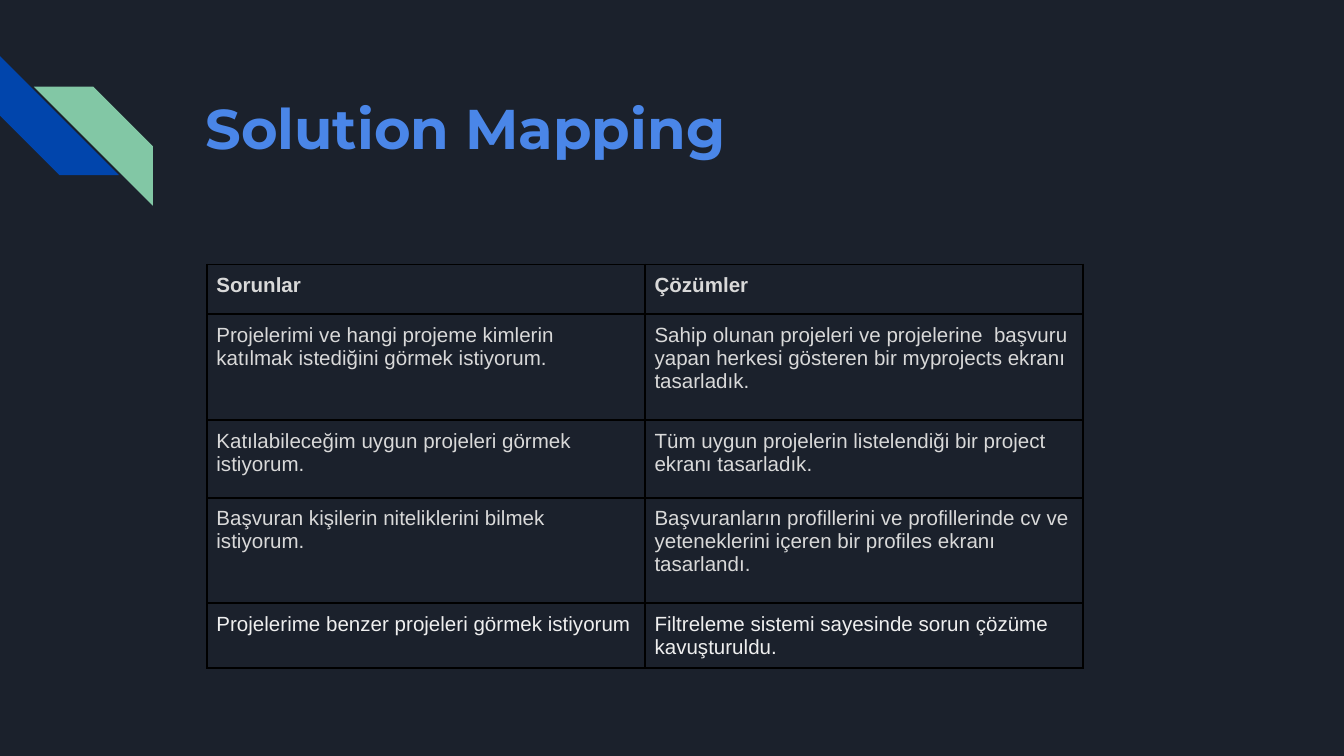
"""Build the Solution Mapping slide with its problem and solution tables."""
import lxml.etree
import pptx
import pptx.dml.color
import pptx.enum.shapes
import pptx.enum.text
import pptx.oxml.ns
import pptx.util

Cm = pptx.util.Cm
RGBColor = pptx.dml.color.RGBColor
qn = pptx.oxml.ns.qn

BACKGROUND = RGBColor(0x1B, 0x21, 0x2C)
BLUE = RGBColor(0x01, 0x45, 0xAC)
GREEN = RGBColor(0x82, 0xC7, 0xA5)
TITLE = RGBColor(0x4A, 0x86, 0xE8)
GREY = RGBColor(0xD9, 0xD9, 0xD9)
LIGHT = RGBColor(0xEF, 0xEF, 0xEF)
BORDER = RGBColor(0x00, 0x00, 0x00)


def write(tf, text, font="Arial", size=11, color=GREY, bold=False, margin=Cm(0.18)):
    """Fill a text frame or table cell with one formatted run."""
    tf.margin_left = tf.margin_right = tf.margin_top = tf.margin_bottom = margin
    tf.vertical_anchor = pptx.enum.text.MSO_ANCHOR.TOP
    p = getattr(tf, "text_frame", tf).paragraphs[0]
    p.alignment = pptx.enum.text.PP_ALIGN.LEFT
    r = p.add_run()
    r.text = text
    r.font.name = font
    r.font.size = pptx.util.Pt(size)
    r.font.bold = bold
    r.font.color.rgb = color


def add_borders(cell, color, width):
    """Draw a solid line on all four sides of a cell."""
    tcPr = cell._tc.get_or_add_tcPr()
    for side in ("lnL", "lnR", "lnT", "lnB"):
        ln = lxml.etree.SubElement(tcPr, qn(f"a:{side}"), w=str(pptx.util.Pt(width)))
        fill = lxml.etree.SubElement(ln, qn("a:solidFill"))
        lxml.etree.SubElement(fill, qn("a:srgbClr"), val=str(color))


prs = pptx.Presentation()
prs.slide_width = Cm(25.4)
prs.slide_height = Cm(14.29)
s = prs.slides.add_slide(prs.slide_layouts[5])
s.background.fill.solid()
s.background.fill.fore_color.rgb = BACKGROUND

for left, top, rotation, color in ((0, 1.06, 270, BLUE), (0.64, 1.64, 90, GREEN)):
    sp = s.shapes.add_shape(
        pptx.enum.shapes.MSO_SHAPE.DIAGONAL_STRIPE, Cm(left), Cm(top), Cm(2.25), Cm(2.25)
    )
    sp.adjustments[0] = 0.5
    sp.rotation = rotation
    sp.shadow.inherit = False
    sp.fill.solid()
    sp.fill.fore_color.rgb = color
    sp.line.fill.background()

title = s.shapes.title
title.left, title.top, title.width, title.height = Cm(3.63), Cm(1.52), Cm(19.56), Cm(2.54)
tf = title.text_frame
tf.word_wrap = True
tf.auto_size = pptx.enum.text.MSO_AUTO_SIZE.NONE
write(tf, "Solution Mapping", font="Montserrat", size=30, color=TITLE, bold=True, margin=Cm(0.25))

mapping = [
    ("Sorunlar", "Çözümler"),
    (
        "Projelerimi ve hangi projeme kimlerin katılmak istediğini görmek istiyorum.",
        "Sahip olunan projeleri ve projelerine  başvuru yapan herkesi gösteren bir "
        "myprojects ekranı tasarladık.",
    ),
    (
        "Katılabileceğim uygun projeleri görmek istiyorum.",
        "Tüm uygun projelerin listelendiği bir project ekranı tasarladık.",
    ),
    (
        "Başvuran kişilerin niteliklerini bilmek istiyorum.",
        "Başvuranların profillerini ve profillerinde cv ve yeteneklerini içeren bir "
        "profiles ekranı tasarlandı.",
    ),
]
similar = [
    (
        "Projelerime benzer projeleri görmek istiyorum",
        "Filtreleme sistemi sayesinde sorun çözüme kavuşturuldu.",
    ),
]

for rows, top, heights, color, header in (
    (mapping, 5, (0.94, 2, 1.47, 2), GREY, True),
    (similar, 11.4, (1.2,), LIGHT, False),
):
    table = s.shapes.add_table(
        len(rows), 2, Cm(3.91), Cm(top), Cm(16.56), Cm(sum(heights))
    ).table
    table.first_row = header
    table.horz_banding = False
    for i, (texts, height) in enumerate(zip(rows, heights)):
        table.rows[i].height = Cm(height)
        for j, text in enumerate(texts):
            cell = table.cell(i, j)
            write(cell, text, color=color, bold=header and i == 0)
            add_borders(cell, BORDER, 1)
            cell.fill.background()

prs.save("out.pptx")
